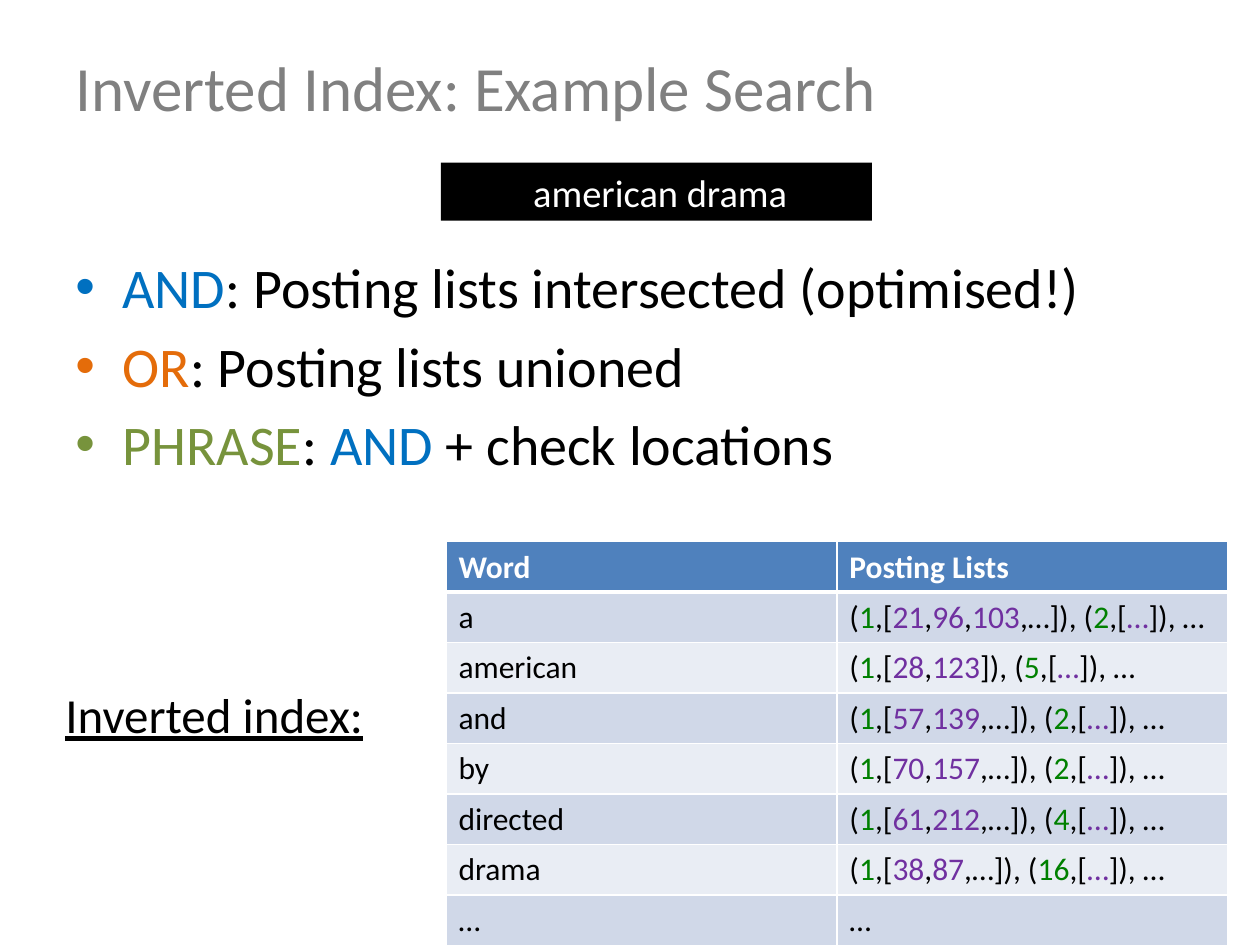
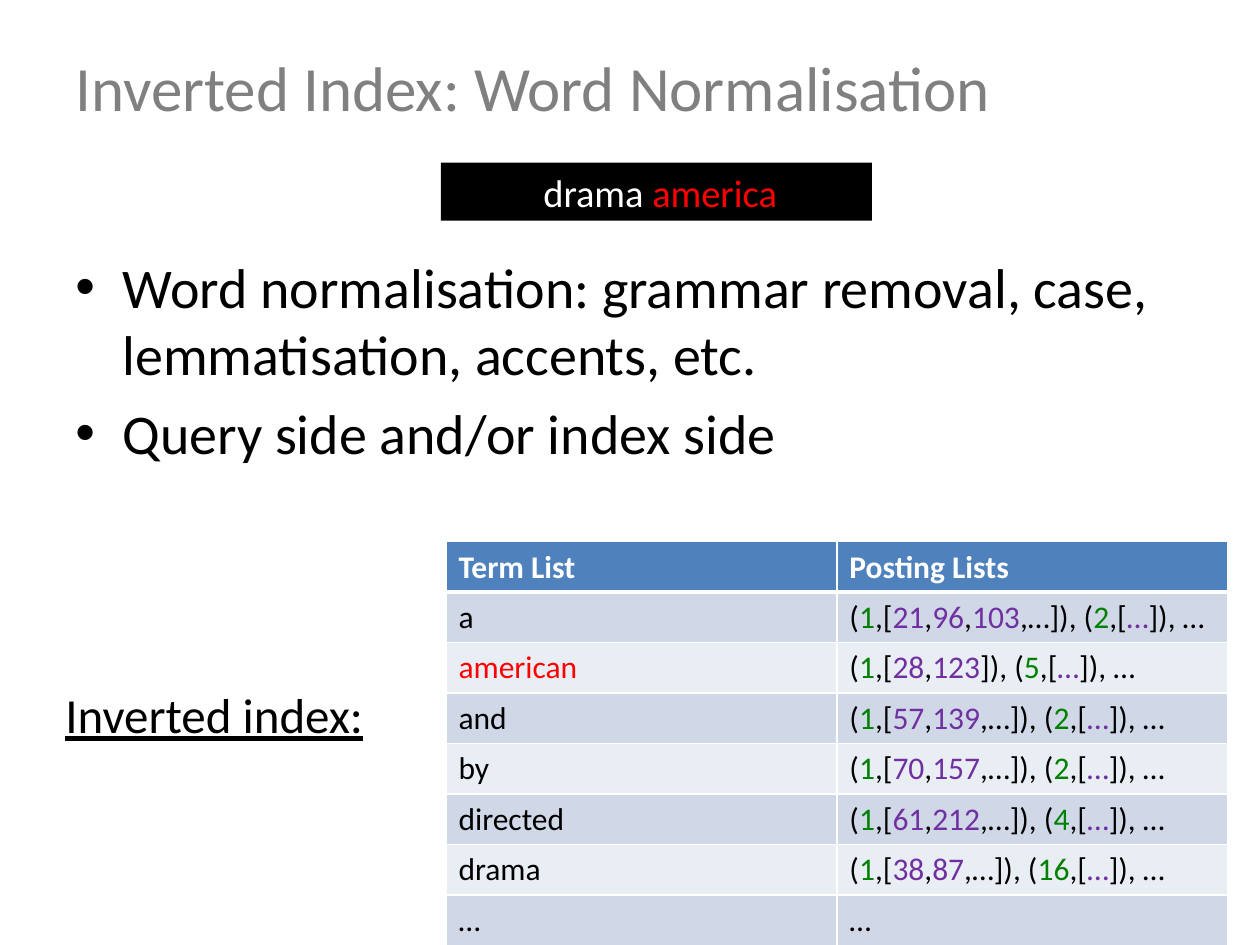
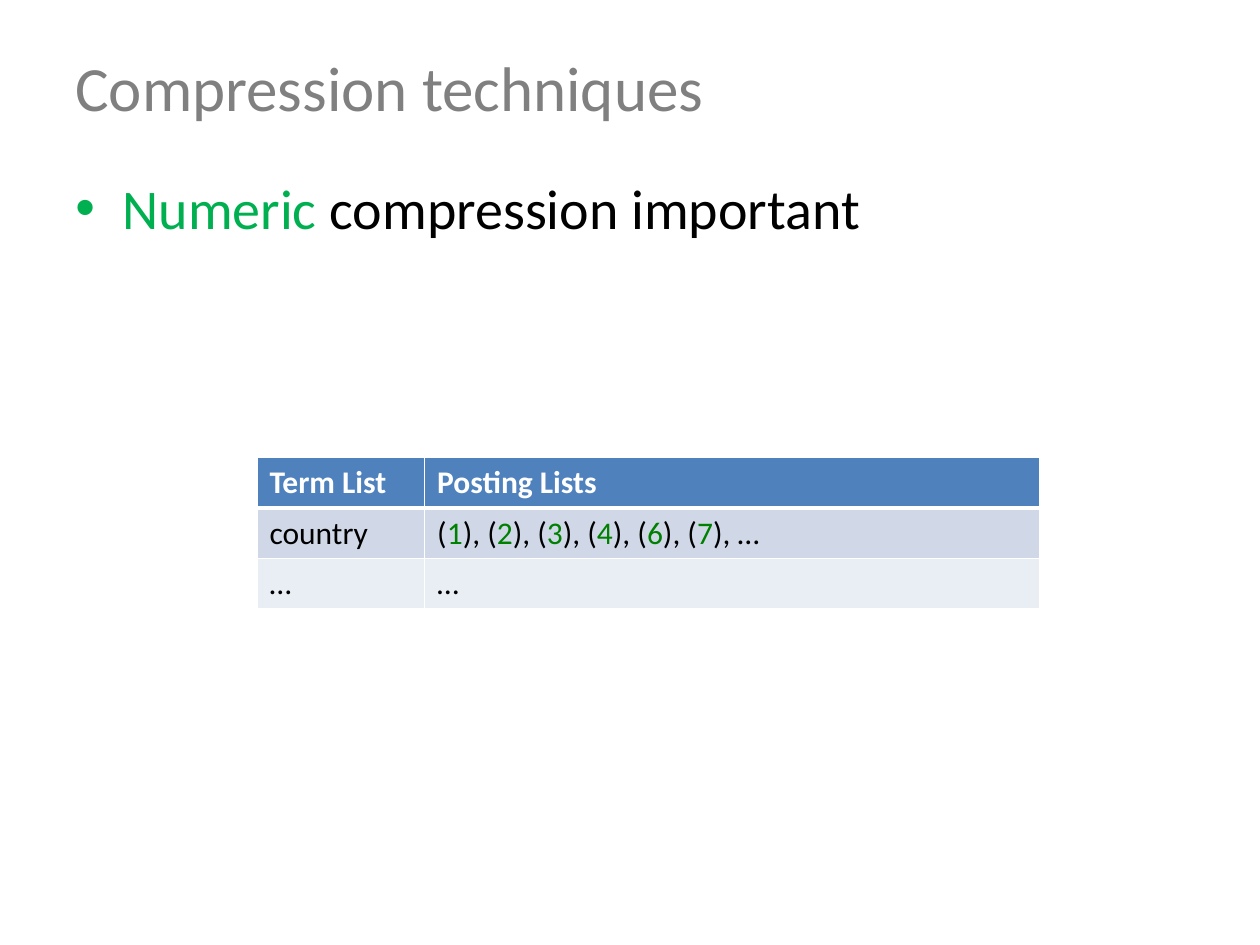
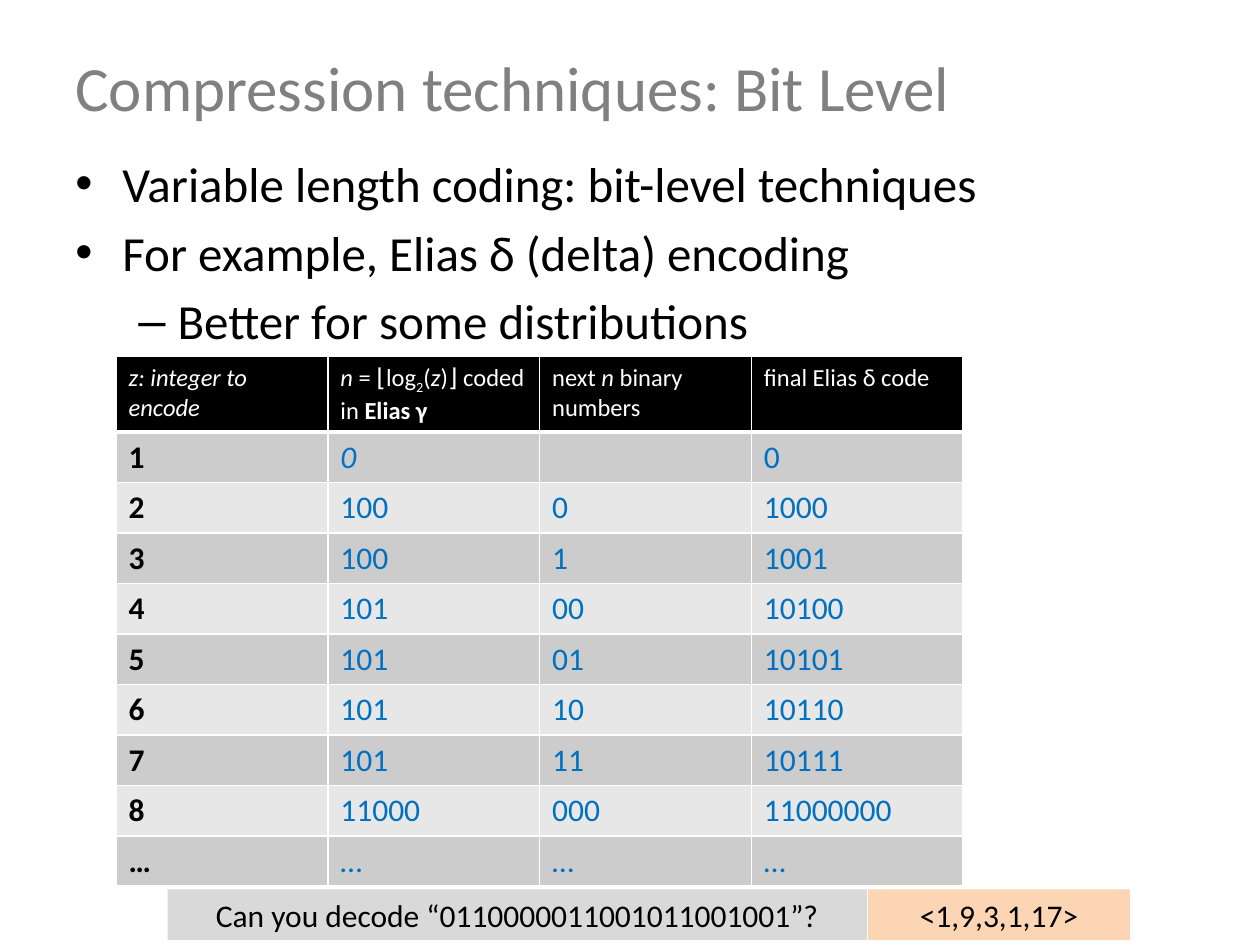
from lxml import etree
from pptx import Presentation
from pptx.dml.color import RGBColor
from pptx.enum import shapes, text
from pptx.oxml import ns
from pptx.util import Cm, Pt

FONT = "Calibri"
BLACK = RGBColor(0x00, 0x00, 0x00)
WHITE = RGBColor(0xFF, 0xFF, 0xFF)
GREY = RGBColor(0x80, 0x80, 0x80)
BLUE = RGBColor(0x00, 0x70, 0xC0)
ORANGE = RGBColor(0xE4, 0x6C, 0x0A)
OLIVE = RGBColor(0x77, 0x93, 0x3C)
GREEN = RGBColor(0x00, 0xB0, 0x50)
RED = RGBColor(0xFF, 0x00, 0x00)
DOCUMENT_GREEN = RGBColor(0x00, 0x80, 0x00)
POSITION_PURPLE = RGBColor(0x70, 0x30, 0xA0)
QUESTION_GREY = RGBColor(0xD9, 0xD9, 0xD9)
ANSWER_PEACH = RGBColor(0xFC, 0xD5, 0xB5)

# Header fill, then the two alternating row fills
BLUE_BANDS = (RGBColor(0x4F, 0x81, 0xBD), RGBColor(0xD0, 0xD8, 0xE8), RGBColor(0xE9, 0xED, 0xF4))
BLACK_BANDS = (BLACK, RGBColor(0xCC, 0xCC, 0xCC), RGBColor(0xE7, 0xE7, 0xE7))

# Left indent in cm, hanging part in cm, bullet character
BULLET_LEVELS = [(0.95, 0.95, "•"), (2.06, 0.79, "–")]

# Text is a list of runs: (words, font settings that differ from the default).
# Word, positions in document 1, whether more positions follow, next document
POSTINGS = [
    ("a", ["21", "96", "103"], True, "2"),
    ("american", ["28", "123"], False, "5"),
    ("and", ["57", "139"], True, "2"),
    ("by", ["70", "157"], True, "2"),
    ("directed", ["61", "212"], True, "4"),
    ("drama", ["38", "87"], True, "16"),
]
COUNTRY_DOCUMENTS = ["1", "2", "3", "4", "6", "7"]

INDEX_SLIDES = [
    {
        "title": "Inverted Index: Example Search",
        "query": [("american drama", {})],
        "bullets": [
            (0, [("AND", {"color": BLUE}), (": Posting lists intersected (optimised!)", {})]),
            (0, [("OR", {"color": ORANGE}), (": Posting lists unioned", {})]),
            (0, [("PHRASE", {"color": OLIVE}), (": ", {}), ("AND", {"color": BLUE}),
                 (" + check locations", {})]),
        ],
        "word_heading": "Word",
        "red_words": [],
    },
    {
        "title": "Inverted Index: Word Normalisation",
        "query": [("drama ", {}), ("america", {"color": RED})],
        "bullets": [
            (0, [("Word normalisation: grammar removal, case, lemmatisation, accents, etc.", {})]),
            (0, [("Query side and/or index side", {})]),
        ],
        "word_heading": "Term List",
        "red_words": ["american"],
    },
]

NUMERIC_BULLETS = [(0, [("Numeric ", {"color": GREEN}), ("compression important", {})])]

BIT_LEVEL_BULLETS = [
    (0, [("Variable length coding: bit-level techniques", {})]),
    (0, [("For example, Elias δ (delta) encoding", {})]),
    (1, [("Better for some distributions", {})]),
]
DELTA_HEADINGS = [
    [("z: integer to encode", {"italic": True})],
    [("n", {"italic": True}), (" = ⌊log", {}), ("2", {"subscript": True}), ("(", {}),
     ("z", {"italic": True}), (")⌋ coded in ", {}), ("Elias γ", {"bold": True})],
    [("next ", {}), ("n", {"italic": True}), (" binary numbers", {})],
    [("final Elias δ code", {})],
]
# Integer, length in Elias gamma, binary remainder, final code
DELTA_CODES = [
    ("1", "0", "", "0"),
    ("2", "100", "0", "1000"),
    ("3", "100", "1", "1001"),
    ("4", "101", "00", "10100"),
    ("5", "101", "01", "10101"),
    ("6", "101", "10", "10110"),
    ("7", "101", "11", "10111"),
    ("8", "11000", "000", "11000000"),
    ("…", "…", "…", "…"),
]
# Left, width, fill, words
DECODE_BOXES = [
    (17.5, 5.28, ANSWER_PEACH, "<1,9,3,1,17>"),
    (3.38, 14.1, QUESTION_GREY, "Can you decode “0110000011001011001001”?"),
]


def posting_runs(positions, more, next_document):
    document = {"color": DOCUMENT_GREEN}
    position = {"color": POSITION_PURPLE}
    runs = [("(", {}), ("1", document), (",[", {})]
    for number, value in enumerate(positions):
        if number:
            runs.append((",", {}))
        runs.append((value, position))
    return runs + [(",…]), (" if more else "]), (", {}), (next_document, document),
                   (",[", {}), ("…", position), ("]), …", {})]


def document_runs(documents):
    runs = []
    for number, document in enumerate(documents):
        runs += [("), (" if number else "(", {}), (document, {"color": DOCUMENT_GREEN})]
    return runs + [("), …", {})]


def add_runs(paragraph, runs, size, color=BLACK):
    for words, style in runs:
        run = paragraph.add_run()
        run.text = words
        font = run.font
        font.name = FONT
        font.size = Pt(size)
        font.color.rgb = style.get("color", color)
        font.bold = style.get("bold", False)
        font.italic = style.get("italic", False)
        font.underline = style.get("underline")
        if style.get("subscript"):
            font._element.set("baseline", "-25000")


def add_text_box(slide, left, top, width, height):
    frame = slide.shapes.add_textbox(Cm(left), Cm(top), Cm(width), Cm(height)).text_frame
    frame.word_wrap = True
    return frame


def add_slide(presentation, title):
    slide = presentation.slides.add_slide(presentation.slide_layouts[6])
    frame = add_text_box(slide, 1.27, 0.76, 22.86, 1.98)
    frame.vertical_anchor = text.MSO_ANCHOR.MIDDLE
    add_runs(frame.paragraphs[0], [(title, {})], 36, GREY)
    return slide


def add_bullets(slide, bullets, top, height, size):
    frame = add_text_box(slide, 1.27, top, 22.86, height)
    for number, (level, runs) in enumerate(bullets):
        paragraph = frame.add_paragraph() if number else frame.paragraphs[0]
        indent, hanging, character = BULLET_LEVELS[level]
        paragraph.level = level
        if number:
            paragraph.space_before = Pt(size * 0.2)
        properties = paragraph._p.get_or_add_pPr()
        properties.set("marL", str(Cm(indent)))
        properties.set("indent", str(-Cm(hanging)))
        etree.SubElement(properties, ns.qn("a:buFont"), typeface="Arial")
        etree.SubElement(properties, ns.qn("a:buChar"), char=character)
        add_runs(paragraph, runs, size)


def add_label_box(slide, left, top, width, height, fill, runs, size, color):
    shape = slide.shapes.add_shape(shapes.MSO_SHAPE.RECTANGLE,
                                   Cm(left), Cm(top), Cm(width), Cm(height))
    shape.shadow.inherit = False
    shape.fill.solid()
    shape.fill.fore_color.rgb = fill
    shape.line.fill.background()
    frame = shape.text_frame
    frame.word_wrap = True
    frame.vertical_anchor = text.MSO_ANCHOR.TOP
    paragraph = frame.paragraphs[0]
    paragraph.alignment = text.PP_ALIGN.CENTER
    add_runs(paragraph, runs, size, color)
    return shape


def add_cell_borders(cell, is_header):
    widths = {"lnL": 1, "lnR": 1, "lnB": 1}
    if is_header:
        widths = {"lnL": 1, "lnR": 1, "lnT": 1, "lnB": 3}
    properties = cell._tc.get_or_add_tcPr()
    for side, width in widths.items():
        line = etree.SubElement(properties, ns.qn("a:" + side), w=str(Pt(width)))
        fill = etree.SubElement(line, ns.qn("a:solidFill"))
        etree.SubElement(fill, ns.qn("a:srgbClr"), val=str(WHITE))


def add_banded_table(slide, left, top, height, columns, row_heights, rows, bands, header_size=18):
    """Add a table whose cells are run lists; the first row is the header."""
    frame = slide.shapes.add_table(len(rows), len(columns), Cm(left), Cm(top),
                                   Cm(sum(columns)), Cm(height))
    table = frame.table
    for column, width in zip(table.columns, columns):
        column.width = Cm(width)
    for row, row_height in zip(table.rows, row_heights):
        row.height = Cm(row_height)
    frame.height = Cm(height)
    for row_number, row in enumerate(rows):
        is_header = row_number == 0
        band = bands[0] if is_header else bands[2 - row_number % 2]
        for column_number, runs in enumerate(row):
            cell = table.cell(row_number, column_number)
            add_cell_borders(cell, is_header)
            cell.fill.solid()
            cell.fill.fore_color.rgb = band
            add_runs(cell.text_frame.paragraphs[0], runs,
                     header_size if is_header else 18, WHITE if is_header else BLACK)


def add_posting_table(slide, left, top, height, columns, word_heading, rows):
    header = [[(heading, {"bold": True})] for heading in (word_heading, "Posting Lists")]
    rows = [header] + rows + [[[("…", {})], [("…", {})]]]
    add_banded_table(slide, left, top, height, columns, [0.86] * len(rows), rows, BLUE_BANDS)


def add_index_slide(presentation, content):
    slide = add_slide(presentation, content["title"])
    rows = []
    for word, *posting in POSTINGS:
        color = RED if word in content["red_words"] else BLACK
        rows.append([[(word, {"color": color})], posting_runs(*posting)])
    add_posting_table(slide, 8.99, 10.92, 8.13, [7.88, 7.88], content["word_heading"], rows)
    label = add_text_box(slide, 1.07, 13.67, 7.42, 1.45)
    label.auto_size = text.MSO_AUTO_SIZE.SHAPE_TO_FIT_TEXT
    add_runs(label.paragraphs[0], [("Inverted index:", {"underline": True})], 28)
    add_bullets(slide, content["bullets"], 4.97, 12.05, 32)
    query = add_label_box(slide, 8.89, 3.28, 8.69, 1.17, BLACK, content["query"], 22, WHITE)
    query.text_frame.paragraphs[0]._p.get_or_add_pPr().set("marL", str(Cm(0.15)))


def add_numeric_slide(presentation):
    slide = add_slide(presentation, "Compression techniques")
    add_bullets(slide, NUMERIC_BULLETS, 3.38, 13.64, 32)
    rows = [[[("country", {})], document_runs(COUNTRY_DOCUMENTS)]]
    add_posting_table(slide, 5.18, 9.22, 3.05, [3.38, 12.4], "Term List", rows)


def add_bit_level_slide(presentation):
    slide = add_slide(presentation, "Compression techniques: Bit Level")
    add_bullets(slide, BIT_LEVEL_BULLETS, 2.97, 13.54, 28)
    rows = [DELTA_HEADINGS]
    for integer, *codes in DELTA_CODES:
        cells = [[(code, {"color": BLUE})] if code else [] for code in codes]
        rows.append([[(integer, {"bold": True})]] + cells)
    rows[1][1] = [("0", {"color": BLUE, "italic": True})]
    row_heights = [1.37] + [0.97] * len(DELTA_CODES)
    add_banded_table(slide, 2.34, 7.19, 10.59, [4.27] * 4, row_heights, rows, BLACK_BANDS, 14)
    for left, width, fill, words in DECODE_BOXES:
        box = add_label_box(slide, left, 17.93, width, 1.02, fill, [(words, {})], 18, BLACK)
        box.text_frame.auto_size = text.MSO_AUTO_SIZE.SHAPE_TO_FIT_TEXT


def main():
    presentation = Presentation()
    presentation.slide_width = Cm(25.4)
    presentation.slide_height = Cm(19.05)
    for content in INDEX_SLIDES:
        add_index_slide(presentation, content)
    add_numeric_slide(presentation)
    add_bit_level_slide(presentation)
    presentation.save("out.pptx")


if __name__ == "__main__":
    main()
